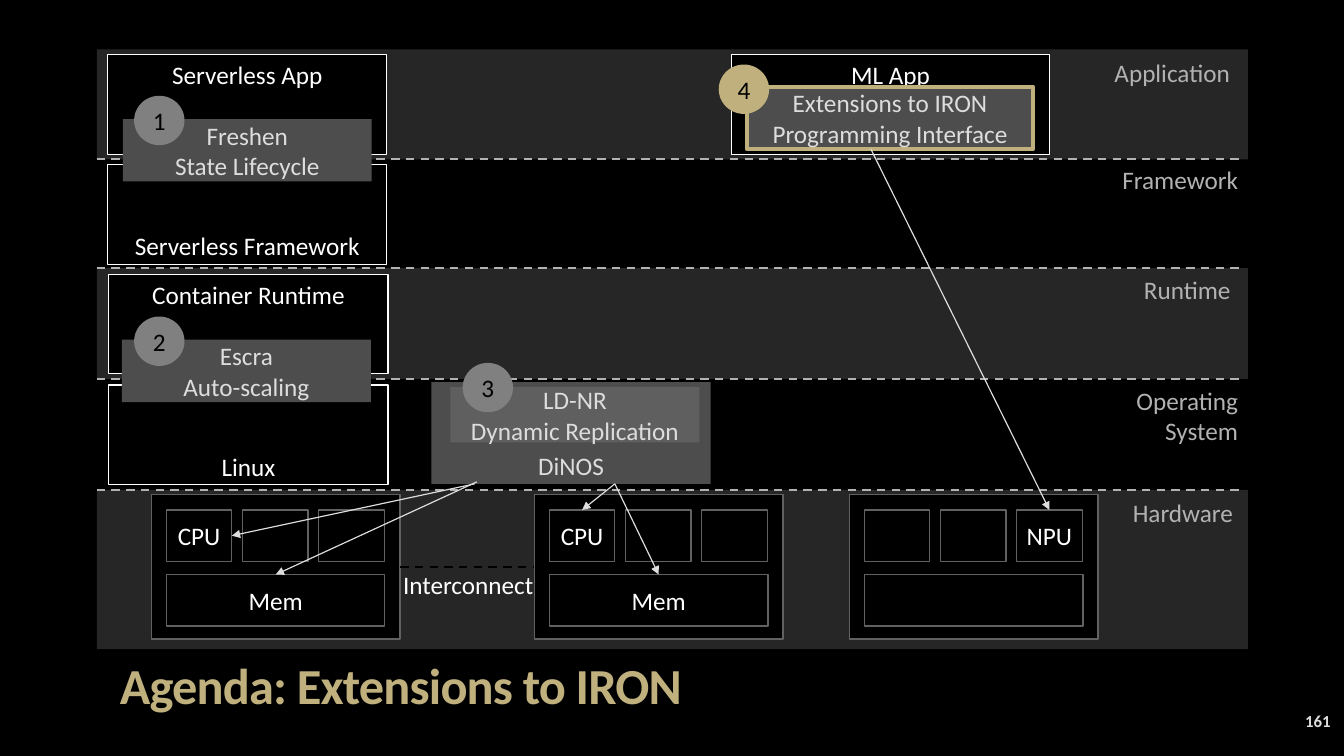
from dataclasses import dataclass

from lxml import etree
from pptx import Presentation, util as u
from pptx.dml import color
from pptx.enum import dml, shapes, text
from pptx.oxml import ns

HUE = {
    "black": "000000", "white": "FFFFFF", "band": "262626", "edge": "616161",
    "patch": "4D4D4D", "inner": "5F5F5F", "pale": "DDDDDD", "label": "B2B2B2",
    "badge": "808080", "gold": "BFB07D",
}
FONT = "Calibri"
RECT, OVAL = shapes.MSO_SHAPE.RECTANGLE, shapes.MSO_SHAPE.OVAL
TOP, MID, LOW = (text.MSO_ANCHOR.TOP, text.MSO_ANCHOR.MIDDLE,
                 text.MSO_ANCHOR.BOTTOM)
LEFT, MEAN, RIGHT = (text.PP_ALIGN.LEFT, text.PP_ALIGN.CENTER,
                     text.PP_ALIGN.RIGHT)


@dataclass
class Box:
    x: float
    y: float
    w: float
    h: float
    words: str = ""
    fill: str = "black"
    line: str = ""
    width: float = 0.85
    ink: str = "white"
    pin: text.MSO_ANCHOR = MID
    form: shapes.MSO_SHAPE = RECT


@dataclass
class Label:
    x: float
    y: float
    w: float
    h: float
    words: str
    side: text.PP_ALIGN = RIGHT
    pin: text.MSO_ANCHOR = TOP
    ink: str = "label"
    size: float = 18
    bold: bool = False


@dataclass
class Link:
    x: float
    y: float
    goal: object
    site: int


def rgb(name: str) -> color.RGBColor:
    return color.RGBColor.from_string(HUE[name])


def write(frame, words: str, look: dict, side, ink: str, size: float = 18,
          bold: bool = False) -> None:
    """Fill a text frame and format every paragraph."""
    for key, val in look.items():
        setattr(frame, key, val)
    frame.text = words
    for para in frame.paragraphs:
        para.alignment = side
        for key, val in {"name": FONT, "size": u.Pt(size), "bold": bold}.items():
            setattr(para.font, key, val)
        para.font.color.rgb = rgb(ink)


def draw_box(slide, box: Box):
    shape = slide.shapes.add_shape(
        box.form, *map(u.Pt, (box.x, box.y, box.w, box.h)))
    shape.shadow.inherit = False
    shape.fill.solid()
    shape.fill.fore_color.rgb = rgb(box.fill)
    if box.line:
        shape.line.color.rgb = rgb(box.line)
        shape.line.width = u.Pt(box.width)
    else:
        shape.line.fill.background()
    if box.words:
        look = {"word_wrap": True, "vertical_anchor": box.pin,
                "margin_left": 0, "margin_right": 0,
                "margin_top": u.Pt(3.6 if box.pin == TOP else 0),
                "margin_bottom": u.Pt(2.4 if box.pin == LOW else 0)}
        write(shape.text_frame, box.words, look, MEAN, box.ink)
    return shape


def draw_label(slide, tag: Label) -> None:
    area = slide.shapes.add_textbox(*map(u.Pt, (tag.x, tag.y, tag.w, tag.h)))
    look = {"word_wrap": True, "vertical_anchor": tag.pin}
    write(area.text_frame, tag.words, look, tag.side, tag.ink, tag.size, tag.bold)


def draw_line(slide, x: float, y: float, x2: float, y2: float, ink: str,
              dash: bool = False):
    wire = slide.shapes.add_connector(
        shapes.MSO_CONNECTOR.STRAIGHT, *map(u.Pt, (x, y, x2, y2)))
    wire.line.color.rgb = rgb(ink)
    wire.line.width = u.Pt(1.5 if dash else 0.85)
    if dash:
        wire.line.dash_style = dml.MSO_LINE.DASH
    etree.SubElement(wire._element.spPr, ns.qn("a:effectLst"))
    return wire


def draw_link(slide, link: Link) -> None:
    """Draw an arrow from a point to a side of a box."""
    wire = draw_line(slide, link.x, link.y, link.x, link.y, "pale")
    wire.end_connect(link.goal, link.site)
    tail = etree.SubElement(wire.line._get_or_add_ln(), ns.qn("a:tailEnd"))
    tail.set("type", "triangle")


def draw_node(slide, x: float, cells: tuple, base: str) -> tuple:
    """Draw a machine: its case, three cells and the memory bar."""
    case = draw_box(slide, Box(x, 353.5, 177.8, 103, line="edge"))
    units = [draw_box(slide, Box(x + 10.8 + 54.4 * col, 364.3, 46.8, 36.7,
                                 words, line="edge"))
             for col, words in enumerate(cells)]
    mem = draw_box(slide, Box(x + 10.8, 410.4, 156.2, 36.7, base, line="edge"))
    return case, units, mem


def main() -> None:
    deck = Presentation()
    deck.slide_width, deck.slide_height = u.Pt(960), u.Pt(540)
    slide = deck.slides.add_slide(deck.slide_layouts[5])
    slide.background.fill.solid()
    slide.background.fill.fore_color.rgb = rgb("black")

    # Title
    title = slide.shapes.title
    spot = {"left": 78.5, "top": 468.7, "width": 797, "height": 70}
    for key, val in spot.items():
        setattr(title, key, u.Pt(val))
    look = {"word_wrap": True, "vertical_anchor": TOP,
            "auto_size": text.MSO_AUTO_SIZE.NONE}
    write(title.text_frame, "Agenda: Extensions to IRON", look, LEFT, "gold",
          36, True)
    para = title.text_frame.paragraphs[0]
    para.line_spacing = 0.9
    para.runs[0].font._element.set("spc", "-60")

    # Layer bands and borders
    edges = [35.3, 113.8, 191.5, 270.7, 350, 463.7]
    for top, end in zip(edges[::2], edges[1::2]):
        draw_box(slide, Box(69.1, top, 822.2, end - top, fill="band"))
    for y in edges[1:-1]:
        draw_line(slide, 69.1, y, 885.6, y, "label", True)

    # Hardware nodes
    case, units, mem = draw_node(slide, 108, ("CPU", "", ""), "Mem")
    case2, units2, mem2 = draw_node(slide, 381.6, ("CPU", "", ""), "Mem")
    _, units3, _ = draw_node(slide, 606.6, ("", "", "NPU"), "")

    # Software stacks and the patches on them
    for box in (
        Box(522.7, 38.9, 226.8, 71.3, "ML App", line="white", pin=TOP),
        Box(533.5, 61.9, 204.5, 44.6,
            "Extensions to IRON\nProgramming Interface", "patch", "gold", 3,
            "pale"),
        Box(77, 38.9, 199.4, 71.3, "Serverless App", line="white", pin=TOP),
        Box(77, 117.4, 199.4, 71.3, "Serverless Framework", line="white",
            pin=LOW),
        Box(87.8, 85, 177.8, 44.6, "Freshen\nState Lifecycle", "patch",
            ink="pale"),
        Box(77.8, 195.8, 199.4, 71.3, "Container Runtime", line="white",
            pin=TOP),
        Box(77.8, 275, 199.4, 71.3, "Linux", line="white", pin=LOW),
        Box(87.1, 242.6, 177.8, 44.6, "Escra\nAuto-scaling", "patch",
            ink="pale"),
        Box(308.2, 272.9, 199.4, 72.7, "DiNOS", "patch", ink="pale", pin=LOW),
        Box(321.8, 276.5, 177.8, 39.6, "LD-NR\nDynamic Replication", "inner",
            ink="pale"),
    ):
        draw_box(slide, box)

    # Arrows to the hardware
    for link in (
        Link(339.1, 345.6, units[0], 3),
        Link(340.6, 344.2, mem, 0),
        Link(439.2, 345.6, units2[0], 0),
        Link(439.2, 345.6, mem2, 0),
        Link(622.1, 106.6, units3[2], 0),
    ):
        draw_link(slide, link)
    wire = draw_line(slide, 285.8, 405, 381.6, 405, "black", True)
    wire.begin_connect(case, 3)
    wire.end_connect(case2, 1)

    # Layer names, interconnect and page number
    for tag in (
        Label(774, 37.4, 111.6, 28.8, "Application"),
        Label(784.8, 113.8, 106.6, 28.8, "Framework"),
        Label(790.6, 192.2, 95.4, 26, "Runtime"),
        Label(795.6, 271.4, 95.8, 45.4, "Operating System"),
        Label(792, 351.4, 95.8, 26, "Hardware"),
        Label(280.8, 403.2, 126, 26, "Interconnect", LEFT, ink="white"),
        Label(837.4, 500.4, 120.2, 28.8, "161", RIGHT, MID, "pale", 12, True),
    ):
        draw_label(slide, tag)

    # Numbered badges
    spots = ((95.8, 68.4), (95.8, 226.1), (330.5, 259.2), (513.4, 46.1))
    for num, (x, y) in enumerate(spots, 1):
        fill = "gold" if num == len(spots) else "badge"
        draw_box(slide, Box(x, y, 36, 35.3, str(num), fill, ink="black",
                            form=OVAL))

    deck.save("out.pptx")


if __name__ == "__main__":
    main()
